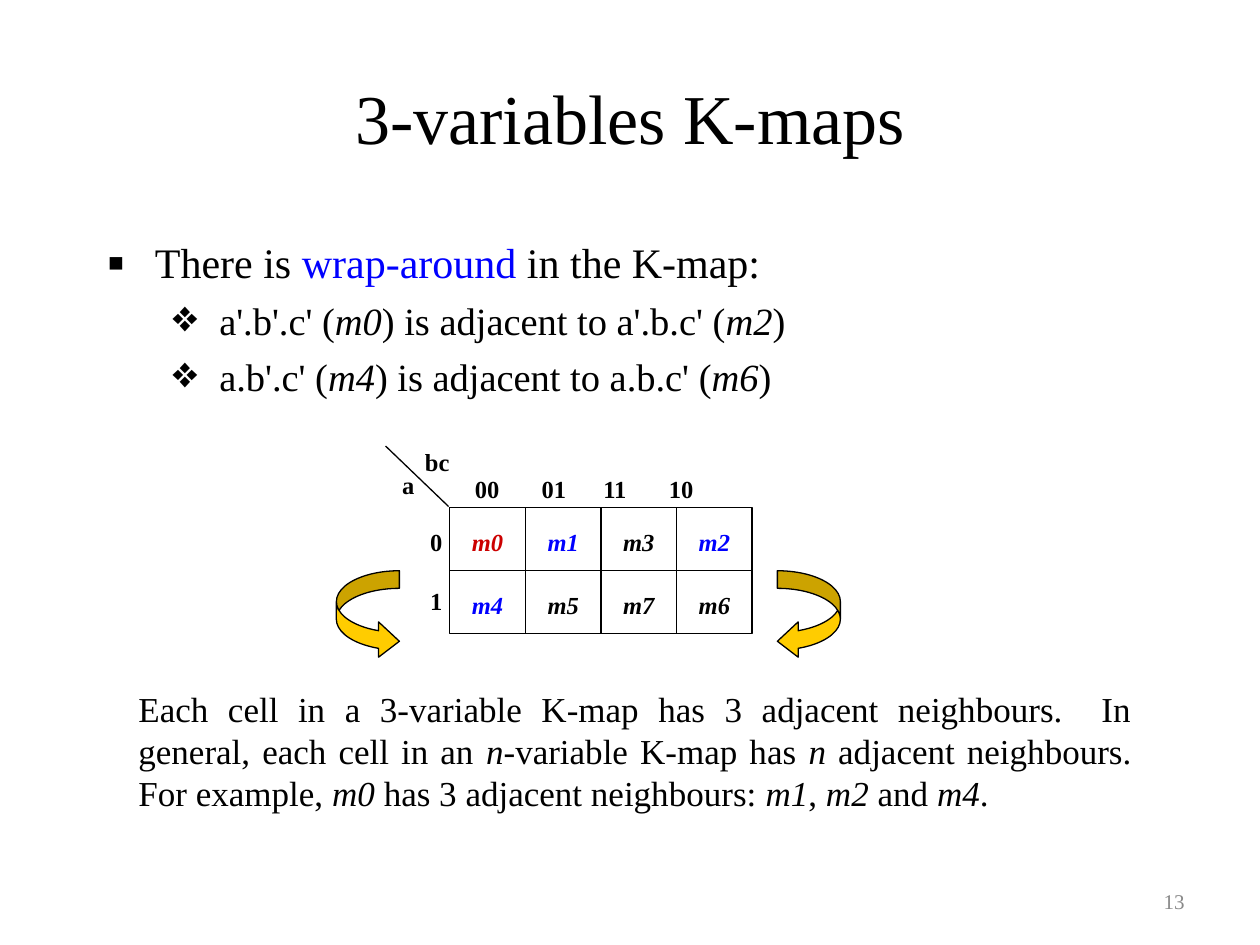
"""Build the slide on wrap-around in 3-variable K-maps."""
from lxml.etree import SubElement
from pptx import Presentation
from pptx.dml.color import RGBColor
from pptx.enum.shapes import MSO_CONNECTOR, MSO_SHAPE
from pptx.enum.text import MSO_ANCHOR, MSO_AUTO_SIZE, PP_ALIGN
from pptx.oxml.ns import qn
from pptx.util import Inches, Pt

FONT = "Times New Roman"
BLACK, BLUE, RED, GREY, GOLD = "000000", "0000FF", "CC0000", "898989", "FFCC00"
ITALIC = {"italic": True}

TITLE = "3-variables K-maps"
WRAP_AROUND = [
    (0, [("There is ", {}), ("wrap-around", {"color": BLUE}), (" in the K-map:", {})]),
    (1, [("a'.b'.c' (", {}), ("m0", ITALIC), (") is adjacent to a'.b.c' (", {}),
         ("m2", ITALIC), (")", {})]),
    (1, [("a.b'.c' (", {}), ("m4", ITALIC), (") is adjacent to a.b.c' (", {}),
         ("m6", ITALIC), (")", {})]),
]
LEVELS = [
    {"size": 24, "before": 6, "margin": 0.38, "hang": 0.38, "bullet": "▪", "scale": 120},
    {"size": 22, "before": 5.5, "margin": 0.89, "hang": 0.38, "bullet": "❖", "scale": 90},
]
MINTERMS = [["m0", "m1", "m3", "m2"], ["m4", "m5", "m7", "m6"]]
MINTERM_COLORS = {"m0": RED, "m1": BLUE, "m2": BLUE, "m4": BLUE}
COLUMN_CODES = ["00", "01", "11", "10"]
COLUMN_TABS = [0.53, 1.02, 1.54]
ROW_CODES = ["0", "1"]
NEIGHBOURS = [
    ("Each cell in a 3-variable K-map has 3 adjacent neighbours.  "
     "In general, each cell in an ", {}),
    ("n", ITALIC), ("-variable K-map has ", {}), ("n", ITALIC),
    (" adjacent neighbours. For example, ", {}), ("m0", ITALIC),
    (" has 3 adjacent neighbours: ", {}), ("m1", ITALIC), (", ", {}),
    ("m2", ITALIC), (" and ", {}), ("m4", ITALIC), (".", {}),
]
MAP_LEFT, MAP_TOP, CELL_W, CELL_H = 3.57, 4.03, 0.6, 0.5
ARROWS = [(MSO_SHAPE.CURVED_RIGHT_ARROW, 2.67), (MSO_SHAPE.CURVED_LEFT_ARROW, 6.17)]
ARROW_ADJUSTMENTS = [0.28, 0.56, 0.33]


def rgb(value):
    """Turn a hex string into a colour."""
    return RGBColor.from_string(value)


def box(left, top, width, height):
    """Give four lengths in inches."""
    return [Inches(v) for v in (left, top, width, height)]


def place(shape, area):
    """Move and size a placeholder."""
    for side, value in zip(("left", "top", "width", "height"), box(*area)):
        setattr(shape, side, value)


def write(paragraph, runs, align=PP_ALIGN.LEFT, **base):
    """Fill a paragraph with formatted runs."""
    paragraph.alignment = align
    for words, extra in runs:
        run = paragraph.add_run()
        run.text = words
        look = {"name": FONT, "color": BLACK, **base, **extra}
        run.font.color.rgb = rgb(look.pop("color"))
        look["size"] = Pt(look["size"])
        for key, value in look.items():
            setattr(run.font, key, value)


def add_text(slide, area, runs, anchor=MSO_ANCHOR.TOP, **look):
    """Add a wrapped text box and return its frame."""
    frame = slide.shapes.add_textbox(*box(*area)).text_frame
    frame.word_wrap = True
    frame.vertical_anchor = anchor
    write(frame.paragraphs[0], runs, **look)
    return frame


def outline(shape):
    """Give a shape or connector a thin black line."""
    shape.line.color.rgb = rgb(BLACK)
    shape.line.width = Pt(0.75)


def add_line(slide, *ends):
    """Draw a straight line between two points and return it."""
    line = slide.shapes.add_connector(MSO_CONNECTOR.STRAIGHT, *box(*ends))
    outline(line)
    SubElement(line._element.spPr, qn("a:effectLst"))
    return line


def add_bullet(paragraph, level):
    """Set spacing, indent and bullet of a list paragraph."""
    paragraph.space_before = Pt(level["before"])
    props = paragraph._p.get_or_add_pPr()
    props.set("marL", str(Inches(level["margin"])))
    props.set("indent", str(-Inches(level["hang"])))
    color = SubElement(props, qn("a:buClr"))
    SubElement(color, qn("a:srgbClr"), val=BLACK)
    SubElement(props, qn("a:buSzPct"), val=str(level["scale"] * 1000))
    SubElement(props, qn("a:buFont"), typeface=FONT)
    SubElement(props, qn("a:buChar"), char=level["bullet"])


def add_placeholders(slide):
    """Fill the title and the list."""
    title, body = slide.shapes.title, slide.placeholders[1]
    for shape, area, anchor in [
        (title, (0.5, 0.3, 9, 1.25), MSO_ANCHOR.MIDDLE),
        (body, (0.75, 1.83, 8.92, 1.42), MSO_ANCHOR.TOP),
    ]:
        place(shape, area)
        shape.text_frame.auto_size = MSO_AUTO_SIZE.NONE
        shape.text_frame.vertical_anchor = anchor
    write(title.text_frame.paragraphs[0], [(TITLE, {})], PP_ALIGN.CENTER, size=40)
    frame = body.text_frame
    for index, (depth, runs) in enumerate(WRAP_AROUND):
        paragraph = frame.add_paragraph() if index else frame.paragraphs[0]
        paragraph.level = depth
        write(paragraph, runs, size=LEVELS[depth]["size"])
        add_bullet(paragraph, LEVELS[depth])


def add_grid(slide):
    """Draw the frame, the dividers and the minterms of the K-map."""
    rows, columns = len(MINTERMS), len(MINTERMS[0])
    right, bottom = MAP_LEFT + columns * CELL_W, MAP_TOP + rows * CELL_H
    frame = slide.shapes.add_shape(
        MSO_SHAPE.RECTANGLE, *box(MAP_LEFT, MAP_TOP, right - MAP_LEFT, bottom - MAP_TOP))
    frame.shadow.inherit = False
    frame.fill.background()
    outline(frame)
    for r in range(1, rows):
        y = MAP_TOP + r * CELL_H
        divider = add_line(slide, MAP_LEFT, y, right, y)
        if 2 * r == rows:
            divider.begin_connect(frame, 1)
            divider.end_connect(frame, 3)
    for c in range(1, columns):
        x = MAP_LEFT + c * CELL_W
        divider = add_line(slide, x, MAP_TOP, x, bottom)
        if 2 * c == columns:
            divider.begin_connect(frame, 0)
            divider.end_connect(frame, 2)
    for r, minterms in enumerate(MINTERMS):
        for c, minterm in enumerate(minterms):
            area = (MAP_LEFT + c * CELL_W, MAP_TOP + r * CELL_H + 0.1, CELL_W, 0.4)
            add_text(slide, area, [(minterm, ITALIC)], align=PP_ALIGN.CENTER, size=14,
                     bold=True, color=MINTERM_COLORS.get(minterm, BLACK))


def add_codes(slide):
    """Label the rows, columns and variables of the K-map."""
    label = {"size": 14, "bold": True}
    codes = add_text(slide, (3.67, 3.71, 2.24, 0.4), [("\t".join(COLUMN_CODES), {})], **label)
    tabs = SubElement(codes.paragraphs[0]._p.get_or_add_pPr(), qn("a:tabLst"))
    for stop in COLUMN_TABS:
        SubElement(tabs, qn("a:tab"), pos=str(Inches(stop)), algn="l")

    label_right = {**label, "align": PP_ALIGN.RIGHT}
    codes = add_text(slide, (3.27, 4.13, 0.34, 0.85), [(ROW_CODES[0], {})], **label_right)
    second = codes.add_paragraph()
    second.space_before = Pt(17)
    write(second, [(ROW_CODES[1], {})], **label_right)

    add_line(slide, 3.56, 4.02, 3.06, 3.54)
    for variable, area in [("a", (3.02, 3.68, 0.44, 0.4)), ("bc", (3.21, 3.5, 0.52, 0.32))]:
        add_text(slide, area, [(variable, {})], align=PP_ALIGN.CENTER, **label)


def add_arrows(slide):
    """Draw the curved wrap-around arrows on both sides of the map."""
    for preset, left in ARROWS:
        arrow = slide.shapes.add_shape(preset, *box(left, 4.53, 0.5, 0.7))
        arrow.shadow.inherit = False
        arrow.fill.solid()
        arrow.fill.fore_color.rgb = rgb(GOLD)
        outline(arrow)
        for index, value in enumerate(ARROW_ADJUSTMENTS):
            arrow.adjustments[index] = value


def main():
    """Build and save the slide."""
    deck = Presentation()
    deck.slide_width, deck.slide_height = Inches(10), Inches(7.5)
    slide = deck.slides.add_slide(deck.slide_layouts[1])
    for add_part in (add_placeholders, add_grid, add_codes, add_arrows):
        add_part(slide)
    add_text(slide, (1, 5.41, 8.08, 1.33), NEIGHBOURS, align=PP_ALIGN.JUSTIFY, size=20)
    add_text(slide, (7.17, 6.95, 2.33, 0.4), [("13", {})], MSO_ANCHOR.MIDDLE,
             align=PP_ALIGN.RIGHT, size=12, color=GREY)
    deck.save("out.pptx")


if __name__ == "__main__":
    main()
